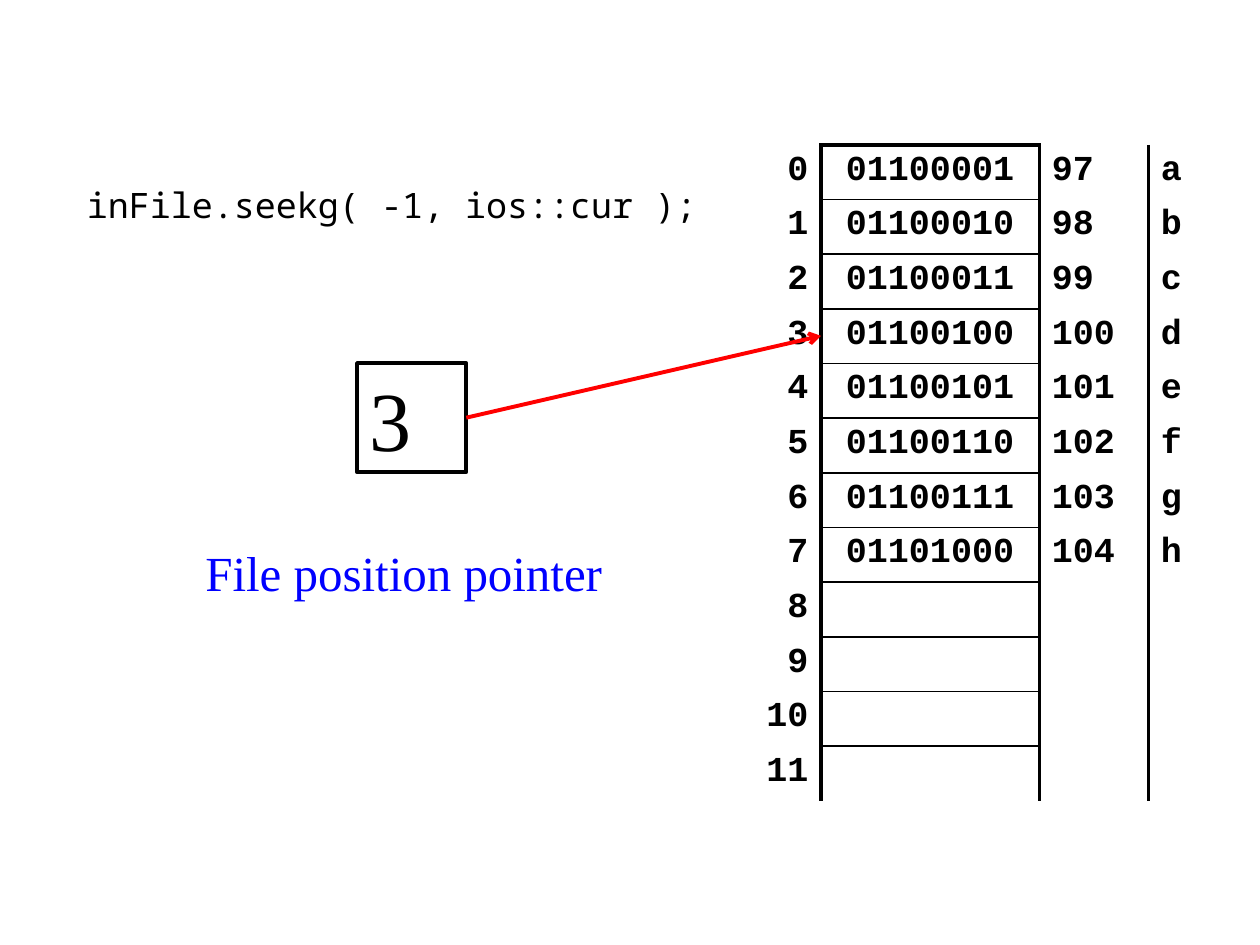
from dataclasses import dataclass

from lxml.etree import SubElement
from pptx import Presentation
from pptx.dml.color import RGBColor
from pptx.enum.shapes import MSO_CONNECTOR, MSO_SHAPE
from pptx.enum.text import MSO_ANCHOR as ANCHOR, PP_ALIGN as ALIGN
from pptx.oxml.ns import qn
from pptx.util import Cm, Pt


@dataclass(frozen=True)
class Theme:
    ink: RGBColor = RGBColor(0x00, 0x00, 0x00)
    label: RGBColor = RGBColor(0x00, 0x00, 0xFF)
    arrow: RGBColor = RGBColor(0xFF, 0x00, 0x00)
    code_font: str = "Noto Sans Mono"
    table_font: str = "Courier New"
    text_font: str = "Times New Roman"
    code_size: int = 20
    label_size: int = 28
    value_size: int = 48
    thick: float = 2.25
    thin: float = 1


THEME = Theme()
NO_STYLE = "{2D5ABB26-0587-4C30-8999-92F81FD0307C}"

UNIT = 1.1  # row height in cm; columns and the pointer box are multiples of it
COLUMNS = (1.5, 4, 2, 1)
ALIGNS = (ALIGN.RIGHT, ALIGN.CENTER, ALIGN.LEFT, ALIGN.LEFT)
ADDRESSES = 12
LETTERS = "abcdefgh"
POSITION = 3


def write(tf, text, font, size, color, bold=False, align=ALIGN.LEFT):
    """Put one formatted run into the first paragraph."""
    p = tf.paragraphs[0]
    p.alignment = align
    r = p.add_run()
    r.text = text
    r.font.name, r.font.size, r.font.bold = font, Pt(size), bold
    r.font.color.rgb = color
    return p


def add_label(slide, left, top, width, height, text, font, size, color):
    box = slide.shapes.add_textbox(Cm(left), Cm(top), Cm(width), Cm(height))
    tf = box.text_frame
    tf.word_wrap = True
    tf.vertical_anchor = ANCHOR.MIDDLE
    write(tf, text, font, size, color)


def set_borders(cell, **widths):
    """Draw cell borders, keeping the order the schema asks for."""
    tc_pr = cell._tc.get_or_add_tcPr()
    for side in "LRTB":
        if side in widths:
            ln = SubElement(tc_pr, qn(f"a:ln{side}"), w=str(Pt(widths[side])))
            fill = SubElement(ln, qn("a:solidFill"))
            SubElement(fill, qn("a:srgbClr"), val=str(THEME.ink))


def add_memory(slide, left, top):
    """Table of addresses, bytes, decimal codes and letters."""
    frame = slide.shapes.add_table(
        ADDRESSES, len(COLUMNS), Cm(left), Cm(top),
        Cm(sum(COLUMNS) * UNIT), Cm(ADDRESSES * UNIT))
    table = frame.table
    table.first_row = table.horz_banding = False
    table._tbl.tblPr.find(qn("a:tableStyleId")).text = NO_STYLE
    for column, units in zip(table.columns, COLUMNS):
        column.width = Cm(units * UNIT)

    thick, thin = THEME.thick, THEME.thin
    for i, row in enumerate(table.rows):
        row.height = Cm(UNIT)
        texts = [str(i)]
        if i < len(LETTERS):
            code = ord(LETTERS[i])
            texts += [f"{code:08b}", str(code), LETTERS[i]]
        for cell, text, align in zip(row.cells, texts, ALIGNS):
            write(cell.text_frame, text, THEME.table_font, THEME.code_size,
                  THEME.ink, bold=True, align=align)

        # The byte column is framed and stays open at the bottom
        edges = {"L": thick, "R": thick, "T": thin if i else thick}
        if i < ADDRESSES - 1:
            edges["B"] = thin
        set_borders(row.cells[0], R=thick)
        set_borders(row.cells[1], **edges)
        set_borders(row.cells[2], L=thick)
        for cell in row.cells:
            cell.fill.background()


def add_pointer_box(slide, left, top, size):
    sp = slide.shapes.add_shape(
        MSO_SHAPE.RECTANGLE, Cm(left), Cm(top), Cm(size), Cm(size))
    sp.shadow.inherit = False
    sp.fill.background()
    sp.line.color.rgb = THEME.ink
    sp.line.width = Pt(THEME.thick)
    tf = sp.text_frame
    tf.vertical_anchor = ANCHOR.MIDDLE
    p = write(tf, str(POSITION), THEME.text_font, THEME.value_size, THEME.ink)
    p.space_before = Pt(0.2 * THEME.value_size)
    return sp


def add_arrow(slide, source, x, y):
    """Arrow from the right side of the source box to a point."""
    line = slide.shapes.add_connector(
        MSO_CONNECTOR.STRAIGHT, source.left + source.width,
        source.top + source.height // 2, Cm(x), Cm(y))
    line.begin_connect(source, 3)
    line.line.color.rgb = THEME.arrow
    line.line.width = Pt(THEME.thick)
    SubElement(line.line._get_or_add_ln(), qn("a:tailEnd"), type="arrow")
    SubElement(line._element.spPr, qn("a:effectLst"))


def add_seek_slide(prs):
    slide = prs.slides.add_slide(prs.slide_layouts[6])
    left, top = 14.9, 2.92

    # Statement and caption
    add_label(slide, 1.5, 3.53, 13.2, 1.2, "inFile.seekg( -1, ios::cur );",
              THEME.code_font, THEME.code_size, THEME.ink)
    add_label(slide, 3.89, 10.72, 8.8, 1.6, "File position pointer",
              THEME.text_font, THEME.label_size, THEME.label)

    # Memory, pointer and the byte it points at
    add_memory(slide, left, top)
    box = add_pointer_box(slide, 7.2, top + 4 * UNIT, 2 * UNIT)
    add_arrow(slide, box, left + COLUMNS[0] * UNIT,
              top + (POSITION + 0.5) * UNIT)


def main():
    prs = Presentation()
    prs.slide_width, prs.slide_height = Cm(25.4), Cm(19.05)
    add_seek_slide(prs)
    prs.save("out.pptx")


if __name__ == "__main__":
    main()
